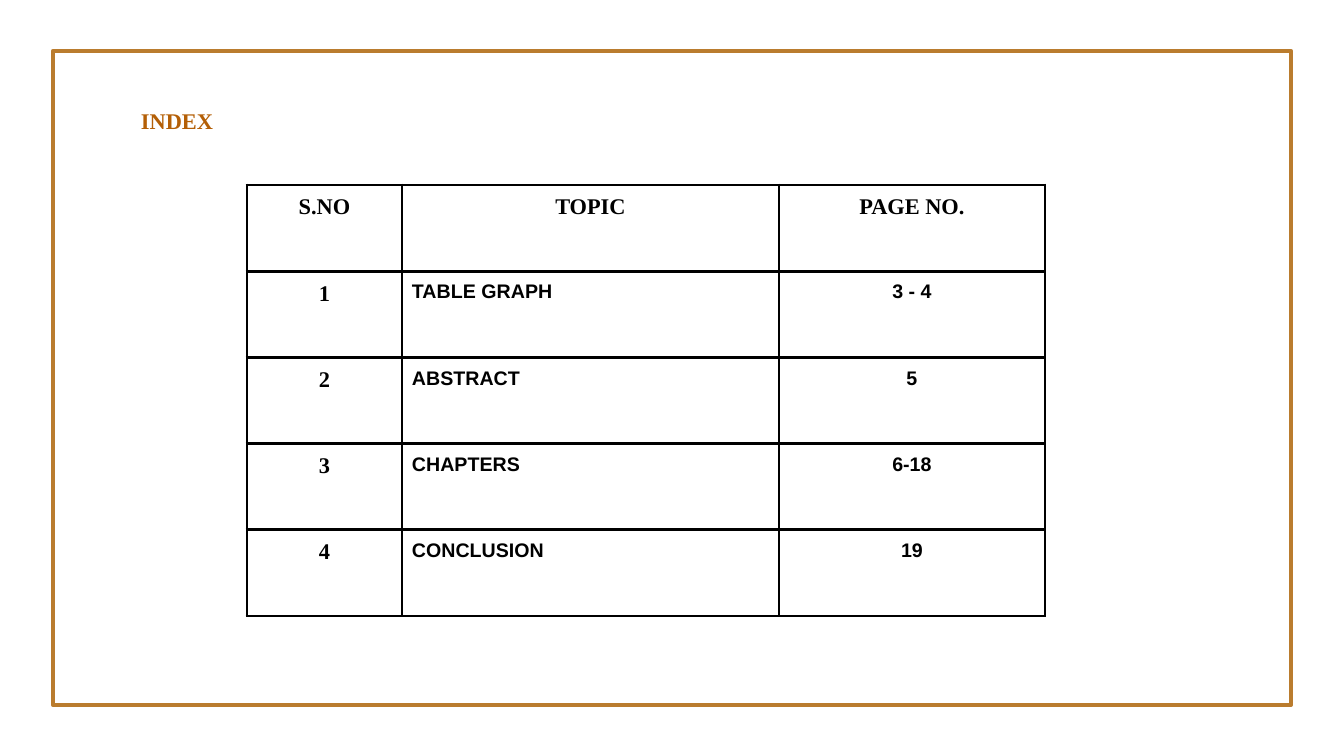
from collections import namedtuple
from dataclasses import dataclass

from lxml.etree import SubElement
from pptx import Presentation
from pptx.dml.color import RGBColor
from pptx.enum.shapes import MSO_SHAPE
from pptx.enum.text import MSO_ANCHOR, PP_ALIGN
from pptx.oxml.ns import qn
from pptx.util import Emu, Pt

Box = namedtuple("Box", "left top width height")


@dataclass(frozen=True)
class Theme:
    frame: str = "BA7C2E"
    title: str = "B45F06"
    ink: str = "000000"
    serif: str = "Times New Roman"
    sans: str = "Arial"
    large: int = 16
    small: int = 14
    frame_line: float = 3
    grid_line: float = 2.25
    inset: int = 10


THEME = Theme()
COLUMNS = (155, 377, 266)
ROWS = (
    ("S.NO", "TOPIC", "PAGE NO."),
    ("1", "TABLE GRAPH", "3 - 4"),
    ("2", "ABSTRACT", "5"),
    ("3", "CHAPTERS", "6-18"),
    ("4", "CONCLUSION", "19"),
)


def px(length):
    """Turn px into EMU, at 100.8 px to the inch."""
    return Emu(round(length * 914400 / 100.8))


def set_insets(holder):
    holder.margin_left = holder.margin_right = px(THEME.inset)
    holder.margin_top = holder.margin_bottom = px(THEME.inset)


def write(text_frame, text, size, face, color, align):
    para = text_frame.paragraphs[0]
    para.text = text
    para.alignment = align
    para.line_spacing = 1.0
    para.space_before = Pt(0)
    para.font.name = face
    para.font.size = Pt(size)
    para.font.bold = True
    para.font.color.rgb = RGBColor.from_string(color)


def add_frame(page, box):
    frame = page.shapes.add_shape(MSO_SHAPE.RECTANGLE, *map(px, box))
    frame.shadow.inherit = False
    frame.fill.background()
    frame.line.color.rgb = RGBColor.from_string(THEME.frame)
    frame.line.width = Pt(THEME.frame_line)


def place_title(page, box):
    title = page.shapes.title
    title.left, title.top, title.width, title.height = map(px, box)
    text_frame = title.text_frame
    text_frame.word_wrap = True
    text_frame.vertical_anchor = MSO_ANCHOR.TOP
    set_insets(text_frame)
    write(text_frame, "INDEX", THEME.large, THEME.serif, THEME.title, PP_ALIGN.LEFT)


def draw_borders(cell):
    properties = cell._tc.get_or_add_tcPr()
    # Borders must stand before the fill
    for position, side in enumerate(("lnL", "lnR", "lnT", "lnB")):
        line = SubElement(properties, qn(f"a:{side}"), w=str(Pt(THEME.grid_line)))
        fill = SubElement(line, qn("a:solidFill"))
        SubElement(fill, qn("a:srgbClr"), val=THEME.ink)
        properties.insert(position, line)


def add_index_table(page, box):
    graphic = page.shapes.add_table(len(ROWS), len(COLUMNS), *map(px, box))
    table = graphic.table
    for column, width in zip(table.columns, COLUMNS):
        column.width = px(width)
    for row_number, texts in enumerate(ROWS):
        table.rows[row_number].height = px(box.height / len(ROWS))
        for column_number, text in enumerate(texts):
            cell = table.cell(row_number, column_number)
            cell.fill.background()
            set_insets(cell)
            draw_borders(cell)
            # The header row and the number column share the serif face
            is_label = row_number == 0 or column_number == 0
            is_topic = column_number == 1 and row_number > 0
            write(
                cell.text_frame,
                text,
                THEME.large if is_label else THEME.small,
                THEME.serif if is_label else THEME.sans,
                THEME.ink,
                PP_ALIGN.LEFT if is_topic else PP_ALIGN.CENTER,
            )


def add_index_page(deck, box):
    page = deck.slides.add_slide(deck.slide_layouts[5])
    page.background.fill.solid()
    page.background.fill.fore_color.rgb = RGBColor(255, 255, 255)
    left, top = box.left, box.top
    add_frame(page, box)
    place_title(page, Box(left + 78, top + 46, 501, 57))
    add_index_table(page, Box(left + 194, top + 134, sum(COLUMNS), 431))


def main():
    deck = Presentation()
    deck.slide_width, deck.slide_height = px(1344), px(756)
    add_index_page(deck, Box(53, 51, 1238, 654))
    deck.save("out.pptx")


if __name__ == "__main__":
    main()
